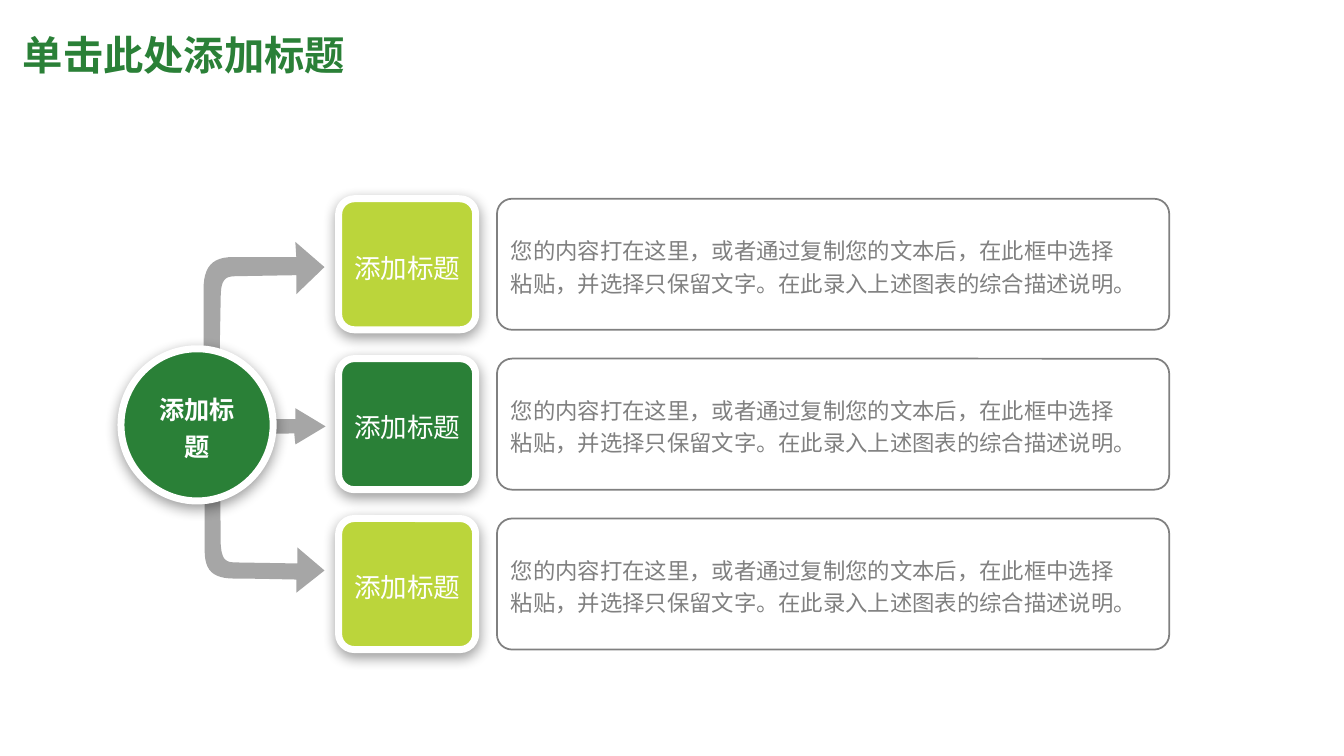
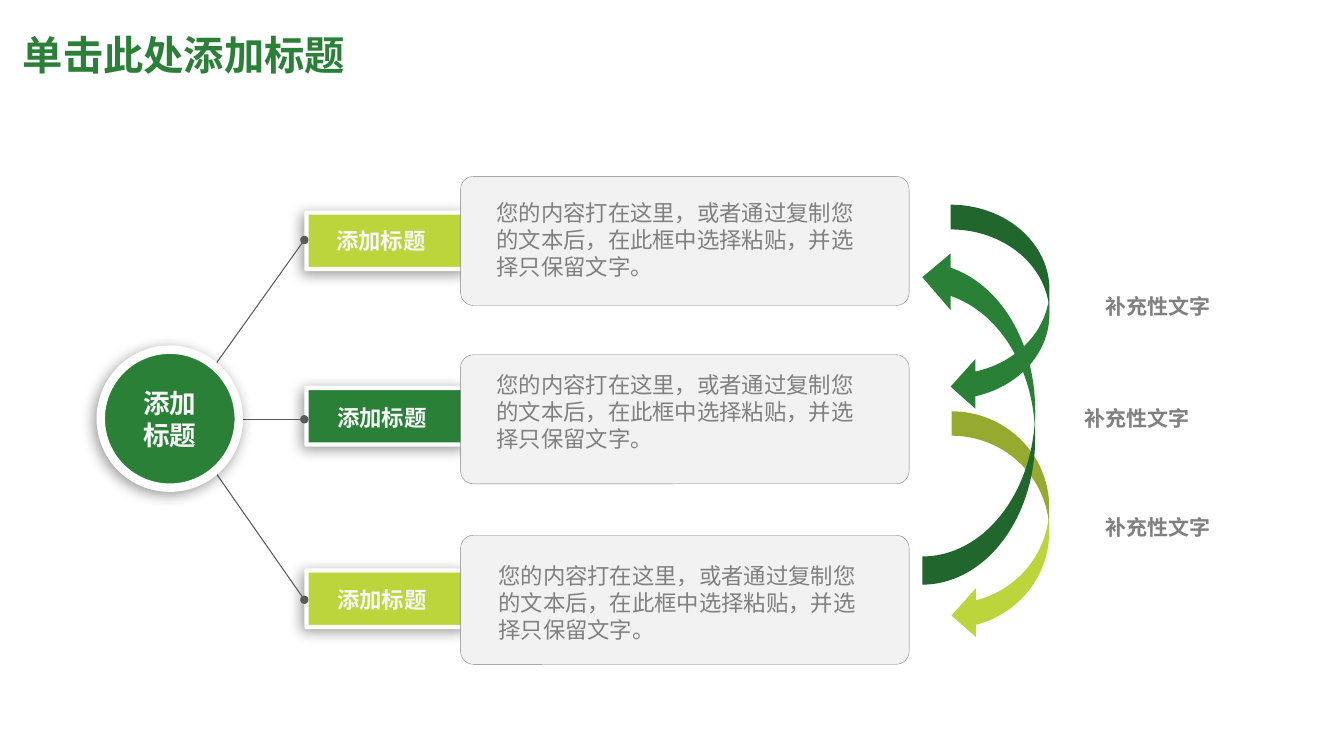
from dataclasses import dataclass
from typing import Any, Optional

import lxml.etree
import pptx
import pptx.dml.color
import pptx.enum.shapes
import pptx.enum.text
import pptx.oxml.ns
import pptx.util

Pt = pptx.util.Pt
Preset = pptx.enum.shapes.MSO_SHAPE
Align = pptx.enum.text.PP_ALIGN
Anchor = pptx.enum.text.MSO_ANCHOR
AutoSize = pptx.enum.text.MSO_AUTO_SIZE
qn = pptx.oxml.ns.qn

# Shared look
GREEN, LIME = "2A8037", "BBD53B"
WHITE, OFF_WHITE, PALE = "FFFFFF", "F8F8F8", "F2F2F2"
GRAY, ARROW_GRAY, LINE_GRAY = "808080", "A6A6A6", "595959"
ROW_COLORS = (LIME, GREEN, LIME)
LATIN_FONT, CHINESE_FONT = "Calibri", "Noto Sans CJK SC"
LINE_HEIGHT = 1.2
TITLE = "单击此处添加标题"
LABEL = "添加标题"


@dataclass(frozen=True)
class Frame:
    left: float
    top: float
    width: float
    height: float

    def lengths(self) -> list[int]:
        return [Pt(n) for n in (self.left, self.top, self.width, self.height)]


@dataclass(frozen=True)
class TextStyle:
    size: float
    color: str
    bold: bool = False
    align: Any = Align.LEFT
    anchor: Any = Anchor.MIDDLE
    font: str = LATIN_FONT
    spacing: float = 1.0
    grow: bool = False


@dataclass(frozen=True)
class Look:
    fill: Optional[str] = None
    line: Optional[str] = None
    weight: float = 0
    shadow_angle: Optional[int] = None
    corner: Optional[float] = None


@dataclass(frozen=True)
class Branch:
    color: str
    tag_top: float
    label: Frame
    card_top: float
    text: Frame
    line_start: float
    line_end: float


@dataclass(frozen=True)
class CurvedArrow:
    frame: Frame
    color: str
    upward: bool = False


TITLE_STYLE = TextStyle(28.8, GREEN, bold=True)


def rgb(color: str) -> Any:
    return pptx.dml.color.RGBColor.from_string(color)


def write(frame: Any, lines: tuple[str, ...], style: TextStyle) -> None:
    """Write one paragraph per line into a text frame."""
    frame.word_wrap = True
    frame.auto_size = AutoSize.SHAPE_TO_FIT_TEXT if style.grow else AutoSize.NONE
    frame.vertical_anchor = style.anchor
    frame.margin_left = frame.margin_right = Pt(6.8)
    frame.margin_top = frame.margin_bottom = Pt(3.6)
    for index, line in enumerate(lines):
        para = frame.paragraphs[0] if index == 0 else frame.add_paragraph()
        para.alignment = style.align
        para.line_spacing = Pt(style.size * LINE_HEIGHT * style.spacing)
        span = para.add_run()
        span.text = line
        span.font.name = style.font
        span.font.size = Pt(style.size)
        span.font.bold = style.bold
        span.font.color.rgb = rgb(style.color)
        latin = span.font._element.find(qn("a:latin"))
        east_asian = lxml.etree.Element(qn("a:ea"), typeface=CHINESE_FONT)
        latin.addnext(east_asian)


def add_shadow(shape: Any, angle: int) -> None:
    effects = shape._element.spPr.find(qn("a:effectLst"))
    shadow = lxml.etree.SubElement(
        effects, qn("a:outerShdw"), blurRad=str(Pt(10)), dist=str(Pt(3)),
        dir=str(angle * 60000), algn="ctr", rotWithShape="0")
    color = lxml.etree.SubElement(shadow, qn("a:srgbClr"), val="000000")
    lxml.etree.SubElement(color, qn("a:alpha"), val="40000")


def apply_look(shape: Any, look: Look) -> None:
    shape.shadow.inherit = False
    if look.fill:
        shape.fill.solid()
        shape.fill.fore_color.rgb = rgb(look.fill)
    else:
        shape.fill.background()
    if look.line:
        shape.line.color.rgb = rgb(look.line)
        shape.line.width = Pt(look.weight)
    else:
        shape.line.fill.background()
    if look.shadow_angle is not None:
        add_shadow(shape, look.shadow_angle)
    if look.corner is not None:
        shape.adjustments[0] = look.corner


def add_preset(page: Any, kind: Any, frame: Frame, look: Look,
               lines: tuple[str, ...] = (),
               style: Optional[TextStyle] = None) -> Any:
    shape = page.shapes.add_shape(kind, *frame.lengths())
    apply_look(shape, look)
    if style:
        write(shape.text_frame, lines, style)
    return shape


def add_text(page: Any, frame: Frame, line: str, style: TextStyle) -> None:
    box = page.shapes.add_textbox(*frame.lengths())
    write(box.text_frame, (line,), style)


def add_outline(page: Any, steps: tuple[tuple[float, ...], ...], color: str) -> None:
    """Draw a closed outline; a step of six numbers is a cubic curve."""
    points = [steps[0]]
    for step in steps[1:]:
        if len(step) == 2:
            points.append(step)
            continue
        ends = (points[-1], step[:2], step[2:4], step[4:])
        for part in range(1, 13):
            t = part / 12
            weights = ((1 - t) ** 3, 3 * t * (1 - t) ** 2, 3 * t * t * (1 - t), t ** 3)
            points.append(tuple(
                sum(w * end[axis] for w, end in zip(weights, ends)) for axis in (0, 1)))
    corners = [(Pt(x), Pt(y)) for x, y in points]
    builder = page.shapes.build_freeform(*corners[0], scale=1.0)
    builder.add_line_segments(corners[1:], close=True)
    apply_look(builder.convert_to_shape(), Look(color))


def add_dotted_end_line(page: Any, start: tuple[float, float],
                        end: tuple[float, float]) -> None:
    line = page.shapes.add_connector(
        pptx.enum.shapes.MSO_CONNECTOR.STRAIGHT, *(Pt(n) for n in start + end))
    line.line.color.rgb = rgb(LINE_GRAY)
    line.line.width = Pt(0.75)
    properties = line._element.spPr
    for name in ("a:headEnd", "a:tailEnd"):
        lxml.etree.SubElement(properties.find(qn("a:ln")), qn(name), type="oval")
    lxml.etree.SubElement(properties, qn("a:effectLst"))


def add_page(deck: Any) -> Any:
    """Add a page with the shared title."""
    page = deck.slides.add_slide(deck.slide_layouts[5])
    title = page.shapes.title
    title.left, title.top, title.width, title.height = Frame(9.4, 19.4, 864, 38.9).lengths()
    write(title.text_frame, (TITLE,), TITLE_STYLE)
    return page


# Page 1: hub with three arrows to tiles
ARROW_OUTLINES = (
    ((157, 317.5), (157.7, 388.8), (158.4, 401.8, 162.7, 401.8, 170.6, 401.8),
     (212.4, 402.5), (212.4, 391), (231.8, 407.5), (211.7, 423.4), (211.7, 414),
     (211.7, 414, 183.6, 413.3, 167.8, 413.3),
     (151.9, 413.3, 146.2, 407.5, 146.2, 393.1),
     (146.2, 316.1), (147.6, 303.1, 154.8, 304.6, 157, 317.5)),
    ((130.3, 311), (210.2, 309.6), (211, 317.5), (232.6, 304.6),
     (211, 291.6), (211, 299.5), (130.3, 299.5)),
    ((156.2, 295.2), (157.7, 212.4), (157.7, 198, 162, 197.3, 169.9, 197.3),
     (211.7, 196.6), (211.7, 210.2), (231.8, 190.8), (211, 172.8), (211.7, 183.6),
     (211.7, 183.6, 182.9, 183.6, 167, 183.6),
     (151.2, 183.6, 145.4, 190.8, 145.4, 207.4),
     (145.4, 296.6), (147.6, 311, 154.1, 309.6, 156.2, 295.2)),
)
TILE_TEXT = (
    "您的内容打在这里，或者通过复制您的文本后，在此框中选择",
    "粘贴，并选择只保留文字。在此录入上述图表的综合描述说明。",
)


def build_arrow_page(deck: Any) -> None:
    page = add_page(deck)
    body = TextStyle(16, GRAY, font=CHINESE_FONT, spacing=1.2)
    tile = TextStyle(19, WHITE, align=Align.CENTER, font=CHINESE_FONT, spacing=1.2)
    hub = TextStyle(18, WHITE, True, Align.CENTER, font=CHINESE_FONT, spacing=1.2)
    for outline in ARROW_OUTLINES:
        add_outline(page, outline, ARROW_GRAY)
    first_top, pitch, height = 142, 114.2, 93.6
    for row, color in enumerate(ROW_COLORS):
        top = first_top + row * pitch
        add_preset(page, Preset.ROUNDED_RECTANGLE, Frame(355, top, 480.2, height),
                   Look(line=GRAY, weight=1.25, corner=0.115), TILE_TEXT, body)
        add_preset(page, Preset.ROUNDED_RECTANGLE, Frame(241.9, top, 97.9, height),
                   Look(color, WHITE, 5, 90, 0.119), (LABEL,), tile)
    add_preset(page, Preset.OVAL, Frame(86.4, 249.1, 108.7, 108.7),
               Look(GREEN, WHITE, 5, 90), (LABEL,), hub)


# Page 2: hub with three tagged cards and a cycle of arrows
CARD_TEXT = "您的内容打在这里，或者通过复制您的文本后，在此框中选择粘贴，并选择只保留文字。"
BRANCHES = (
    Branch(LIME, 151.9, Frame(233.3, 158.4, 110.5, 26.6), 126,
           Frame(347.8, 146.2, 279.4, 49.7), 297.4, 171.4),
    Branch(GREEN, 277.2, Frame(234, 285.1, 110.5, 26.6), 253.4,
           Frame(347.8, 269.3, 279.4, 49.7), 299.5, 299.5),
    Branch(LIME, 407.5, Frame(234, 414.7, 110.5, 26.6), 382.3,
           Frame(349.2, 405.4, 279.4, 49.7), 299.5, 428.4),
)
CYCLE = (
    CurvedArrow(Frame(679, 146.2, 70.6, 147.6), GREEN),
    CurvedArrow(Frame(679.7, 293.8, 69.8, 163.4), LIME),
    CurvedArrow(Frame(658.8, 177.8, 80.6, 239.8), GREEN, upward=True),
)
CAPTION_TEXT = "补充性文字"
CAPTION_CORNERS = ((763.2, 205.9), (748.8, 285.8), (763.2, 364.3))


def build_card_page(deck: Any) -> None:
    page = add_page(deck)
    label = TextStyle(16, OFF_WHITE, True)
    hub = TextStyle(19, OFF_WHITE, True, Align.CENTER)
    body = TextStyle(16, GRAY)
    caption = TextStyle(15, GRAY, True, Align.CENTER, Anchor.TOP, grow=True)
    for branch in BRANCHES:
        add_preset(page, Preset.PENTAGON, Frame(218.9, branch.tag_top, 131.8, 40.3),
                   Look(branch.color, WHITE, 3, 135))
        add_text(page, branch.label, LABEL, label)
        add_dotted_end_line(page, (127.4, branch.line_start), (217.4, branch.line_end))
        add_preset(page, Preset.ROUNDED_RECTANGLE,
                   Frame(329, branch.card_top, 320.4, 92.2),
                   Look(PALE, GRAY, 0.25, corner=0.1))
        add_text(page, branch.text, CARD_TEXT, body)
    add_preset(page, Preset.OVAL, Frame(72, 249.8, 98.6, 98.6),
               Look(GREEN, WHITE, 6, 135), ("添加", "标题"), hub)
    for arrow in CYCLE:
        shape = add_preset(page, Preset.CURVED_LEFT_ARROW, arrow.frame, Look(arrow.color))
        if arrow.upward:
            shape.rotation = 180
            shape._element.spPr.find(qn("a:xfrm")).set("flipH", "1")
    for left, top in CAPTION_CORNERS:
        add_text(page, Frame(left, top, 127.4, 24.5), CAPTION_TEXT, caption)


def main() -> None:
    deck = pptx.Presentation()
    deck.slide_width, deck.slide_height = Pt(960), Pt(540)
    build_arrow_page(deck)
    build_card_page(deck)
    deck.save("out.pptx")


if __name__ == "__main__":
    main()
